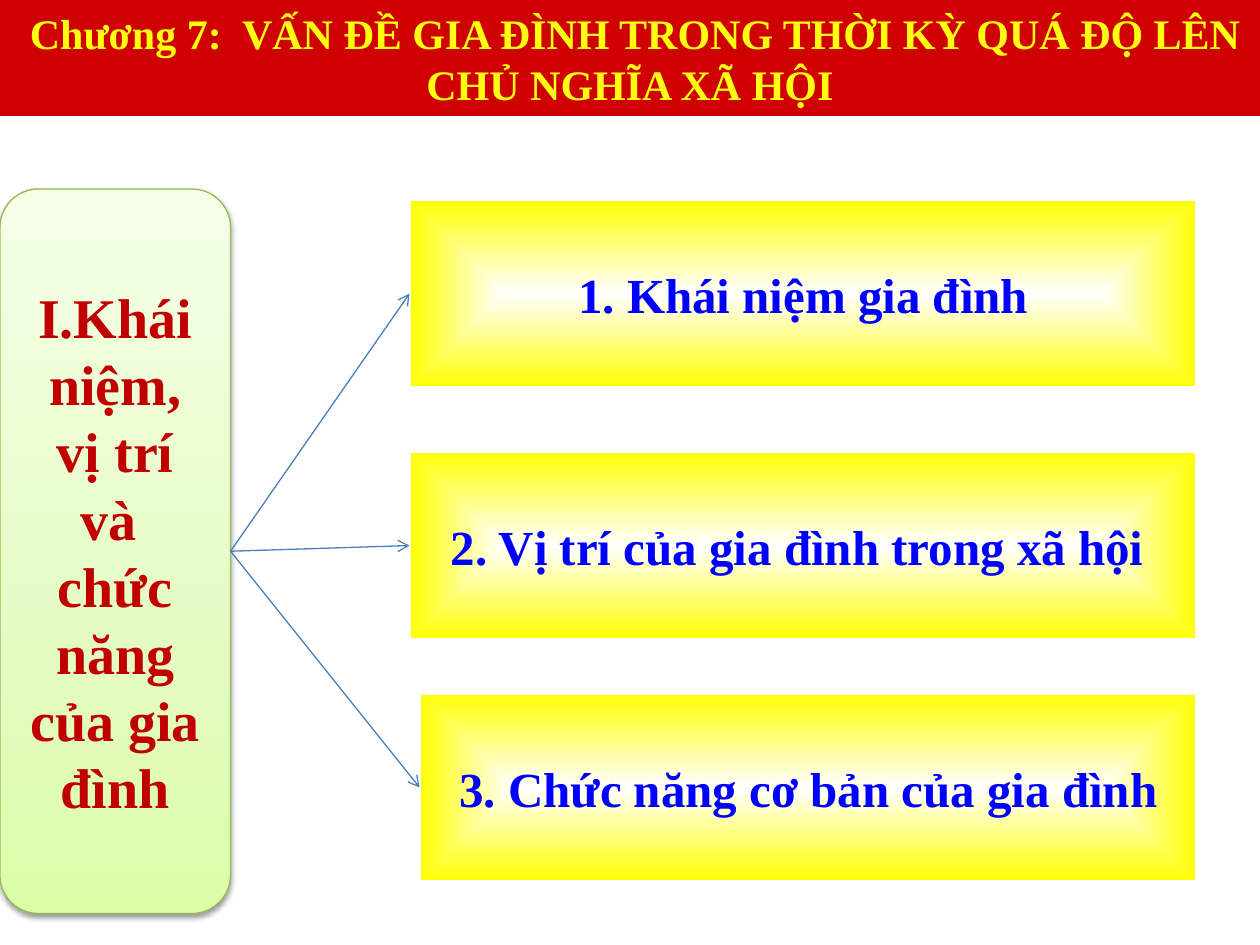
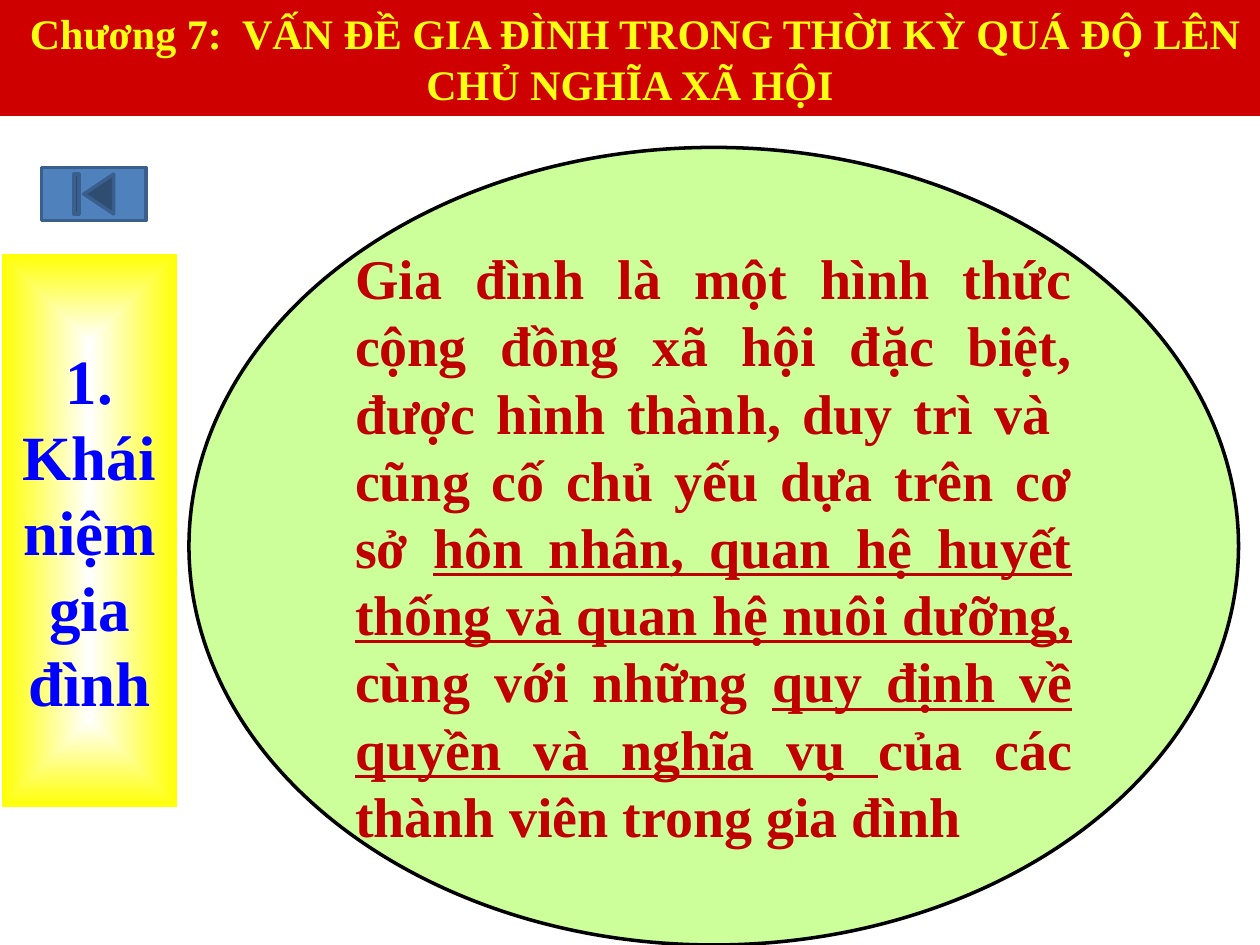
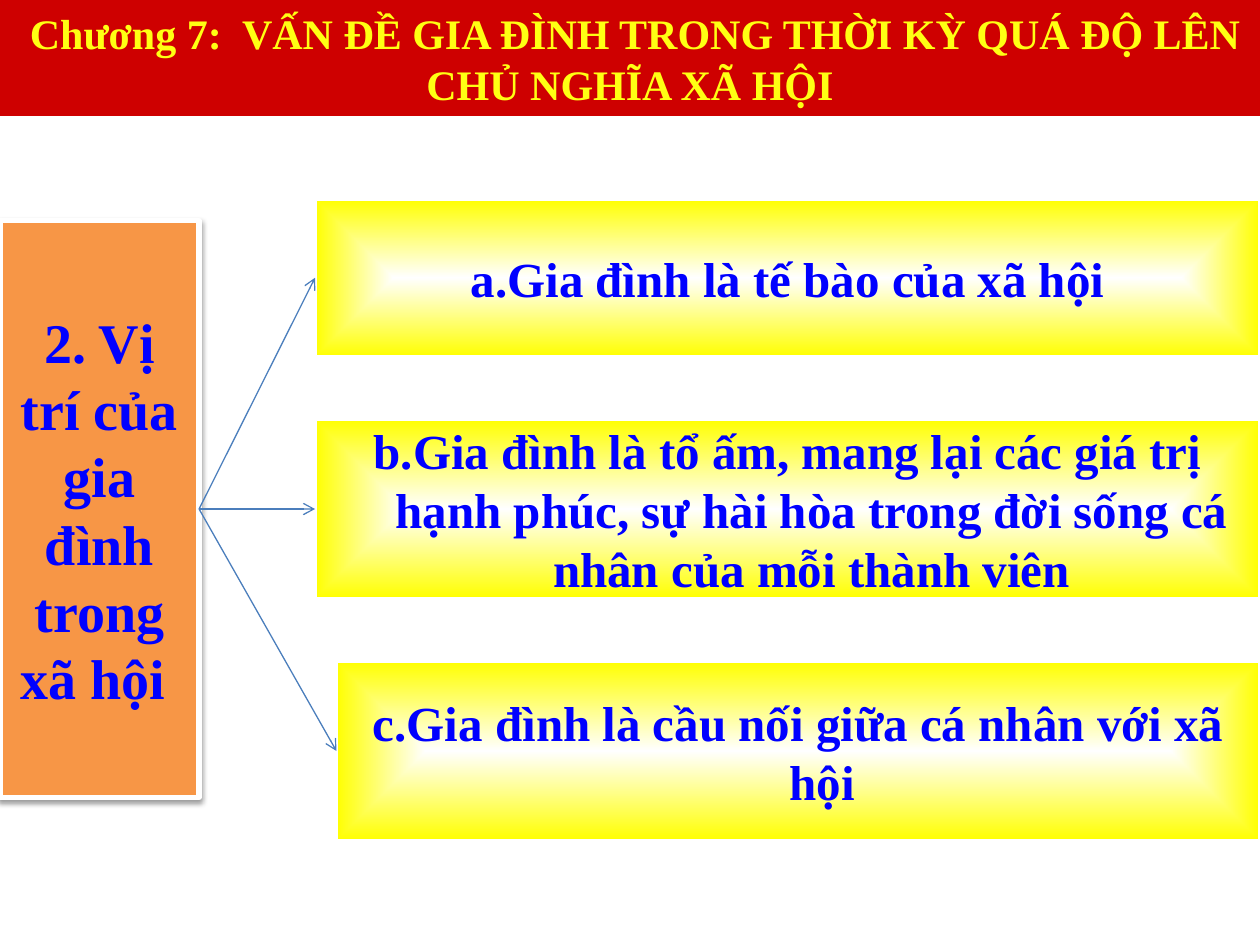
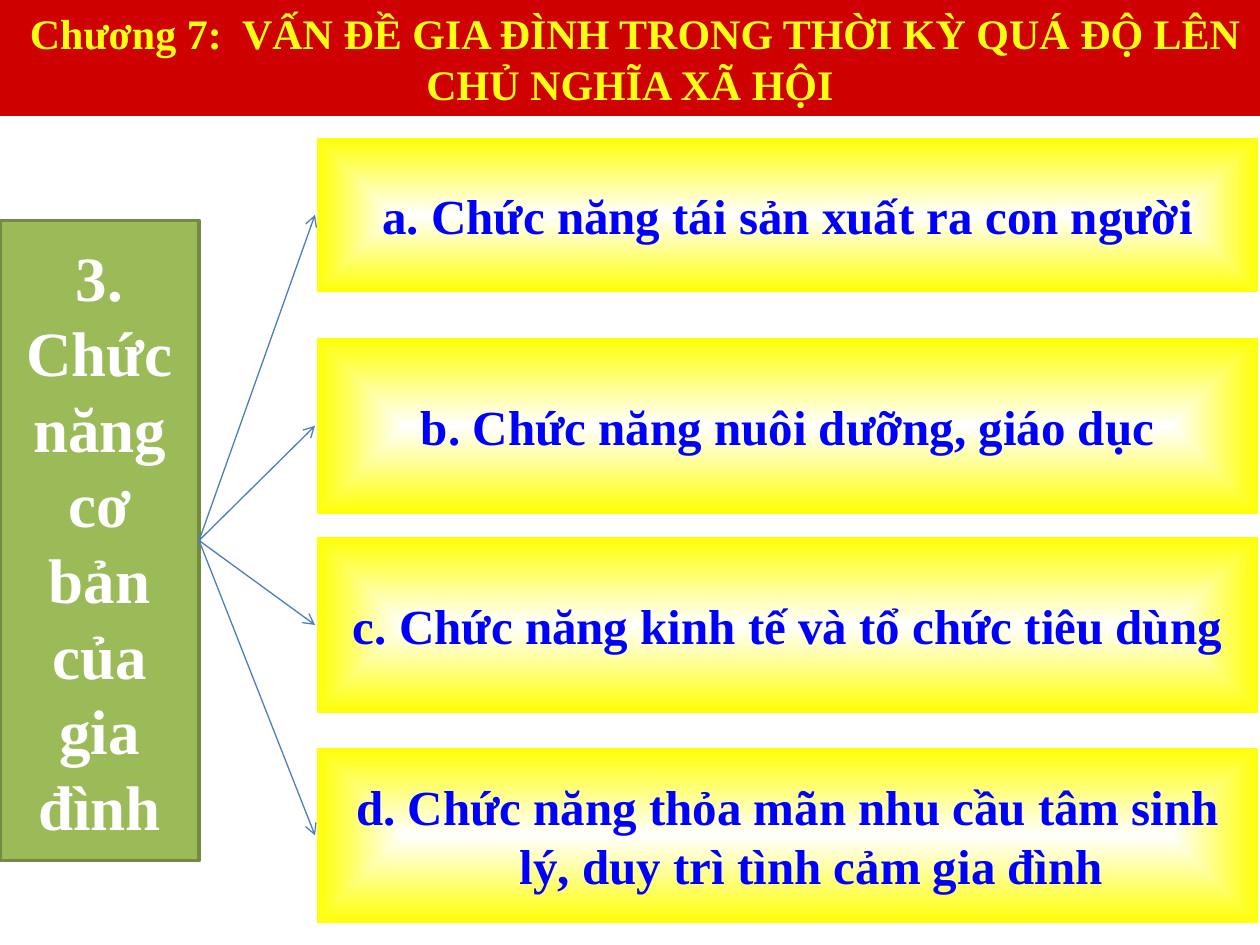
from dataclasses import dataclass
from typing import NamedTuple, Optional, Sequence, Union

from pptx import Presentation
from pptx.dml.color import RGBColor
from pptx.enum.shapes import MSO_CONNECTOR, MSO_SHAPE
from pptx.enum.text import MSO_ANCHOR, PP_ALIGN
from pptx.oxml import parse_xml
from pptx.oxml.ns import nsdecls, qn
from pptx.shapes.autoshape import Shape
from pptx.slide import Slide
from pptx.util import Inches, Pt

FONT = "Times New Roman"
CHAPTER = " Chương 7:  VẤN ĐỀ GIA ĐÌNH TRONG THỜI KỲ QUÁ ĐỘ LÊN CHỦ NGHĨA XÃ HỘI"

VOWELS = "aăâeêioôơuưy"
TONED_VOWELS = {
    0x301: "áắấéếíóốớúứý",
    0x300: "àằầèềìòồờùừỳ",
    0x309: "ảẳẩẻểỉỏổởủửỷ",
    0x303: "ãẵẫẽễĩõỗỡũữỹ",
    0x323: "ạặậẹệịọộợụựỵ",
}
COMBINING_TONES = {
    ord(toned): vowel + chr(tone)
    for tone, row in TONED_VOWELS.items()
    for toned, vowel in zip(row + row.upper(), VOWELS + VOWELS.upper())
}

WHITE = RGBColor(0xFF, 0xFF, 0xFF)
BLACK = RGBColor(0x00, 0x00, 0x00)
BAND_RED = RGBColor(0xCE, 0x00, 0x00)
TITLE_YELLOW = RGBColor(0xFF, 0xFF, 0x13)
YELLOW = RGBColor(0xFF, 0xFF, 0x00)
TEXT_BLUE = RGBColor(0x00, 0x00, 0xFF)
TEXT_RED = RGBColor(0xC0, 0x00, 0x00)
ARROW_BLUE = RGBColor(0x4B, 0x7E, 0xBC)
BUTTON_BLUE = RGBColor(0x4F, 0x81, 0xBD)
BUTTON_EDGE = RGBColor(0x3A, 0x5F, 0x8C)
ORANGE = RGBColor(0xF7, 0x96, 0x46)
GREEN = RGBColor(0x9B, 0xBB, 0x59)
GREEN_EDGE = RGBColor(0x73, 0x8A, 0x42)
LIME = RGBColor(0xCC, 0xFF, 0x99)
LIME_EDGE = RGBColor(0x98, 0xB9, 0x55)
LIME_DEEP = RGBColor(0xDA, 0xFD, 0xA7)
LIME_MID = RGBColor(0xE4, 0xFC, 0xC2)
LIME_PALE = RGBColor(0xF5, 0xFF, 0xE7)

LEFT_SITE, RIGHT_SITE = 1, 3


class Area(NamedTuple):
    left: float
    top: float
    width: float
    height: float


class Span(NamedTuple):
    text: str
    underline: bool = False


class Gradient(NamedTuple):
    stops: Sequence[tuple[int, RGBColor]]
    direction: str


Fill = Union[RGBColor, Gradient]

GLOW = Gradient(
    [(0, WHITE), (100, YELLOW)],
    '<a:path path="shape"><a:fillToRect l="50000" t="50000" r="50000" b="50000"/></a:path>',
)
LIME_FADE = Gradient(
    [(0, LIME_DEEP), (35, LIME_MID), (100, LIME_PALE)],
    '<a:lin ang="16200000" scaled="1"/>',
)


@dataclass(frozen=True)
class Topic:
    """The heading at the left from which the arrows start."""

    text: str
    area: Area
    fill: Fill
    edge: RGBColor
    edge_width: float
    color: RGBColor
    size: int
    kind: MSO_SHAPE = MSO_SHAPE.RECTANGLE
    shadow: bool = False


@dataclass(frozen=True)
class Branch:
    text: str
    top: float
    height: float
    left: float


@dataclass(frozen=True)
class Tree:
    topic: Topic
    branches: Sequence[Branch]
    right: float = 10


TREE_CONCEPTS = Tree(
    Topic("I.Khái niệm, vị trí và  chức năng của gia đình", Area(0, 1.5, 1.83, 5.75),
          LIME_FADE, LIME_EDGE, 0.75, TEXT_RED, 32, MSO_SHAPE.ROUNDED_RECTANGLE, True),
    [
        Branch("1. Khái niệm gia đình", 1.58, 1.5, 3.25),
        Branch("2. Vị trí của gia đình trong xã hội ", 3.58, 1.5, 3.25),
        Branch("3. Chức năng cơ bản của gia đình", 5.5, 1.5, 3.33),
    ],
    right=9.5,
)
TREE_POSITION = Tree(
    Topic("2. Vị trí của gia đình trong xã hội ", Area(0, 1.75, 1.58, 4.58),
          ORANGE, WHITE, 3, TEXT_BLUE, 32, shadow=True),
    [
        Branch("a.Gia đình là tế bào của xã hội", 1.58, 1.25, 2.5),
        Branch("b.Gia đình là tổ ấm, mang lại các giá trị hạnh phúc, sự hài hòa "
               "trong đời sống cá nhân của mỗi thành viên", 3.33, 1.42, 2.5),
        Branch("c.Gia đình là cầu nối giữa cá nhân với xã hội", 5.25, 1.42, 2.67),
    ],
)
TREE_FUNCTIONS = Tree(
    Topic("3. Chức năng cơ bản của gia đình", Area(0, 1.75, 1.58, 5.08),
          GREEN, GREEN_EDGE, 2, WHITE, 36),
    [
        Branch("a. Chức năng tái sản xuất ra con người", 1.08, 1.25, 2.5),
        Branch("b. Chức năng nuôi dưỡng, giáo dục", 2.67, 1.42, 2.5),
        Branch("c. Chức năng kinh tế và tổ chức tiêu dùng", 4.25, 1.42, 2.5),
        Branch("d. Chức năng thỏa mãn nhu cầu tâm sinh lý, duy trì tình cảm gia đình",
               5.92, 1.42, 2.5),
    ],
)
DEFINITION = [
    Span("Gia đình là một hình thức cộng đồng xã hội đặc biệt, được hình thành, "
         "duy trì và  cũng cố chủ yếu dựa trên cơ sở "),
    Span("hôn nhân, quan hệ huyết thống và quan hệ nuôi dưỡng, ", underline=True),
    Span("cùng với những "),
    Span("quy định về quyền và nghĩa vụ ", underline=True),
    Span("của các thành viên trong gia đình"),
]


def apply_gradient(shape: Shape, gradient: Gradient) -> None:
    stops = "".join(
        f'<a:gs pos="{percent * 1000}"><a:srgbClr val="{color}"/></a:gs>'
        for percent, color in gradient.stops
    )
    shape.fill.gradient()
    properties = shape.element.spPr
    properties.replace(
        properties.find(qn("a:gradFill")),
        parse_xml(f'<a:gradFill {nsdecls("a")} rotWithShape="1">'
                  f"<a:gsLst>{stops}</a:gsLst>{gradient.direction}</a:gradFill>"),
    )


def add_shadow(shape: Shape) -> None:
    shape.element.spPr.find(qn("a:effectLst")).append(parse_xml(
        f'<a:outerShdw {nsdecls("a")} blurRad="40000" dist="20000" dir="5400000" '
        'rotWithShape="0"><a:srgbClr val="000000"><a:alpha val="38000"/></a:srgbClr>'
        "</a:outerShdw>"
    ))


def draw_shape(slide: Slide, kind: MSO_SHAPE, area: Area, fill: Fill,
               edge: Optional[RGBColor] = None, edge_width: float = 2) -> Shape:
    shape = slide.shapes.add_shape(kind, *map(Inches, area))
    shape.shadow.inherit = False
    if isinstance(fill, Gradient):
        apply_gradient(shape, fill)
    else:
        shape.fill.solid()
        shape.fill.fore_color.rgb = fill
    if edge is None:
        shape.line.fill.background()
    else:
        shape.line.color.rgb = edge
        shape.line.width = Pt(edge_width)
    return shape


def write(shape: Shape, text: Union[str, Sequence[Span]], *, size: int, color: RGBColor,
          align: PP_ALIGN = PP_ALIGN.CENTER, hanging: float = 0,
          margin_y: float = 0.05) -> None:
    """Fill the shape with one paragraph, its tones stored as combining marks."""
    frame = shape.text_frame
    frame.word_wrap = True
    frame.vertical_anchor = MSO_ANCHOR.MIDDLE
    frame.margin_top = frame.margin_bottom = Inches(margin_y)
    paragraph = frame.paragraphs[0]
    paragraph.alignment = align
    if hanging:
        properties = paragraph._p.get_or_add_pPr()
        properties.set("marL", str(Inches(hanging)))
        properties.set("indent", str(-Inches(hanging)))
    for span in [Span(text)] if isinstance(text, str) else text:
        run = paragraph.add_run()
        run.text = span.text.translate(COMBINING_TONES)
        run.font.name = FONT
        run.font.size = Pt(size)
        run.font.bold = True
        run.font.underline = span.underline
        run.font.color.rgb = color


def draw_arrow(slide: Slide, start: Shape, end: Shape) -> None:
    arrow = slide.shapes.add_connector(MSO_CONNECTOR.STRAIGHT, 0, 0, 0, 0)
    arrow.begin_connect(start, RIGHT_SITE)
    arrow.end_connect(end, LEFT_SITE)
    arrow.line.color.rgb = ARROW_BLUE
    arrow.line.width = Pt(0.75)
    properties = arrow.element.spPr
    properties.find(qn("a:ln")).append(parse_xml(f'<a:tailEnd {nsdecls("a")} type="arrow"/>'))
    properties.append(parse_xml(f'<a:effectLst {nsdecls("a")}/>'))


def add_chapter_slide(deck: Presentation) -> Slide:
    slide = deck.slides.add_slide(deck.slide_layouts[6])
    band = draw_shape(slide, MSO_SHAPE.RECTANGLE, Area(0, 0, 10, 0.92), BAND_RED)
    write(band, CHAPTER, size=24, color=TITLE_YELLOW, margin_y=0)
    return slide


def add_tree_slide(deck: Presentation, tree: Tree) -> None:
    slide = add_chapter_slide(deck)
    topic = tree.topic
    root = draw_shape(slide, topic.kind, topic.area, topic.fill, topic.edge, topic.edge_width)
    if topic.shadow:
        add_shadow(root)
    write(root, topic.text, size=topic.size, color=topic.color)

    leaves = []
    for branch in tree.branches:
        area = Area(branch.left, branch.top, tree.right - branch.left, branch.height)
        leaf = draw_shape(slide, MSO_SHAPE.RECTANGLE, area, GLOW, WHITE)
        write(leaf, branch.text, size=28, color=TEXT_BLUE, hanging=0.38)
        leaves.append(leaf)
    for leaf in leaves:
        draw_arrow(slide, root, leaf)


def add_definition_slide(deck: Presentation) -> None:
    slide = add_chapter_slide(deck)
    term = draw_shape(slide, MSO_SHAPE.RECTANGLE, Area(0, 2, 1.42, 4.42), GLOW, WHITE)
    write(term, "1. Khái niệm gia đình", size=36, color=TEXT_BLUE)
    definition = draw_shape(slide, MSO_SHAPE.OVAL, Area(1.5, 1.17, 8.33, 6.33), LIME, BLACK)
    write(definition, DEFINITION, size=32, color=TEXT_RED, align=PP_ALIGN.JUSTIFY)
    draw_shape(slide, MSO_SHAPE.ACTION_BUTTON_BEGINNING, Area(0.33, 1.33, 0.83, 0.42),
               BUTTON_BLUE, BUTTON_EDGE)


def main() -> None:
    deck = Presentation()
    deck.slide_width = Inches(10)
    deck.slide_height = Inches(7.5)
    add_tree_slide(deck, TREE_CONCEPTS)
    add_definition_slide(deck)
    add_tree_slide(deck, TREE_POSITION)
    add_tree_slide(deck, TREE_FUNCTIONS)
    deck.save("out.pptx")


if __name__ == "__main__":
    main()
